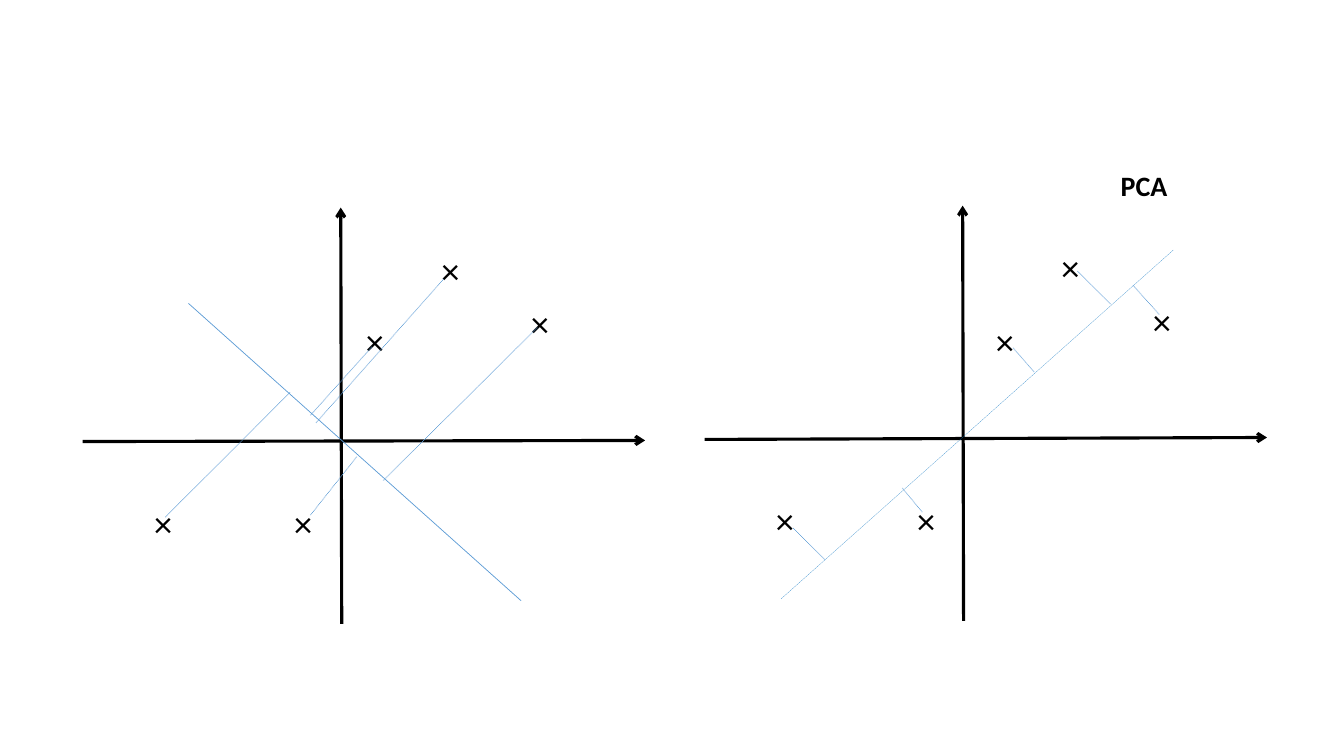
from lxml.etree import SubElement
from pptx import Presentation
from pptx.dml.color import RGBColor as RGB
from pptx.enum.dml import MSO_LINE as Dash
from pptx.enum.shapes import MSO_CONNECTOR as Link
from pptx.enum.text import MSO_AUTO_SIZE as Fit
from pptx.oxml.ns import qn
from pptx.util import Pt

HEX = {"ink": "000000", "fit": "0070C0", "drop": "5B9BD5"}

# Lines are (x1, y1, x2, y2); marks are (left, top); all in points.
PLOTS = [
    {
        "axes": [(688.3, 443.5, 687.6, 146.9), (503.3, 313.9, 905, 312.5)],
        "marks": [(704.2, 224.6), (751, 171.4), (816.5, 210.2),
                  (648, 352.1), (547.2, 352.1)],
        "fit": (838.1, 178.6, 558, 427.7),
        "style": ("fit", 0.05),
        "drops": [(769.7, 193.7, 793.4, 217.4), (723.6, 248.4, 738.7, 265.7),
                  (828, 224.6, 809.3, 203.8), (658.8, 365.8, 644.4, 348.5),
                  (566.6, 377.3, 589.7, 400.3)],
    },
    {
        "axes": [(244.1, 445.7, 243.4, 148.3), (59, 315.4, 460.8, 314.6)],
        "marks": [(254.2, 224.6), (308.2, 173.5), (372.2, 211.7),
                  (203, 354.2), (103, 354.2)],
        "fit": (134.6, 216.7, 372.2, 429.1),
        "style": ("drop", 0.5),
        "drops": [(265.7, 247.7, 221.8, 296.6), (316.8, 199.4, 225.4, 302.4),
                  (383.8, 234, 273.6, 343.4), (118.1, 369.4, 207.4, 280.1),
                  (221.8, 367.9, 254.9, 326.2)],
    },
]
LABEL = ("PCA", (793.4, 116.6, 66.2, 31.7))
MARK = ("×", (31, 38.2))
FONTS = {
    "mark": {"name": "Calibri", "size": Pt(26)},
    "label": {"name": "Calibri", "size": Pt(20), "bold": True},
}


def add_line(home, ends, color, width, dash=None, arrow=False):
    link = home.shapes.add_connector(Link.STRAIGHT, *map(Pt, ends))
    line = link.line
    line.color.rgb = RGB.from_string(HEX[color])
    line.width = Pt(width)
    if dash:
        line.dash_style = dash
    props = link._element.spPr
    if arrow:
        SubElement(props.find(qn("a:ln")), qn("a:tailEnd"), type="arrow")
    SubElement(props, qn("a:effectLst"))


def add_text(home, text, area, style):
    box = home.shapes.add_textbox(*map(Pt, area))
    frame = box.text_frame
    frame.word_wrap = True
    frame.auto_size = Fit.SHAPE_TO_FIT_TEXT
    run = frame.paragraphs[0].add_run()
    run.text = text
    for key, value in FONTS[style].items():
        setattr(run.font, key, value)
    run.font.color.rgb = RGB.from_string(HEX["ink"])


def add_plot(slide, plot):
    group = slide.shapes.add_group_shape()
    for axis in plot["axes"]:
        add_line(group, axis, "ink", 2.25, arrow=True)
    sign, size = MARK
    for spot in plot["marks"]:
        add_text(group, sign, spot + size, "mark")
    add_line(group, plot["fit"], *plot["style"])
    for drop in plot["drops"]:
        add_line(group, drop, "drop", 0.5, dash=Dash.ROUND_DOT)


def main():
    deck = Presentation()
    deck.slide_width, deck.slide_height = Pt(960), Pt(540)
    slide = deck.slides.add_slide(deck.slide_layouts[6])
    for plot in PLOTS:
        add_plot(slide, plot)
    add_text(slide, *LABEL, "label")
    deck.save("out.pptx")


if __name__ == "__main__":
    main()
